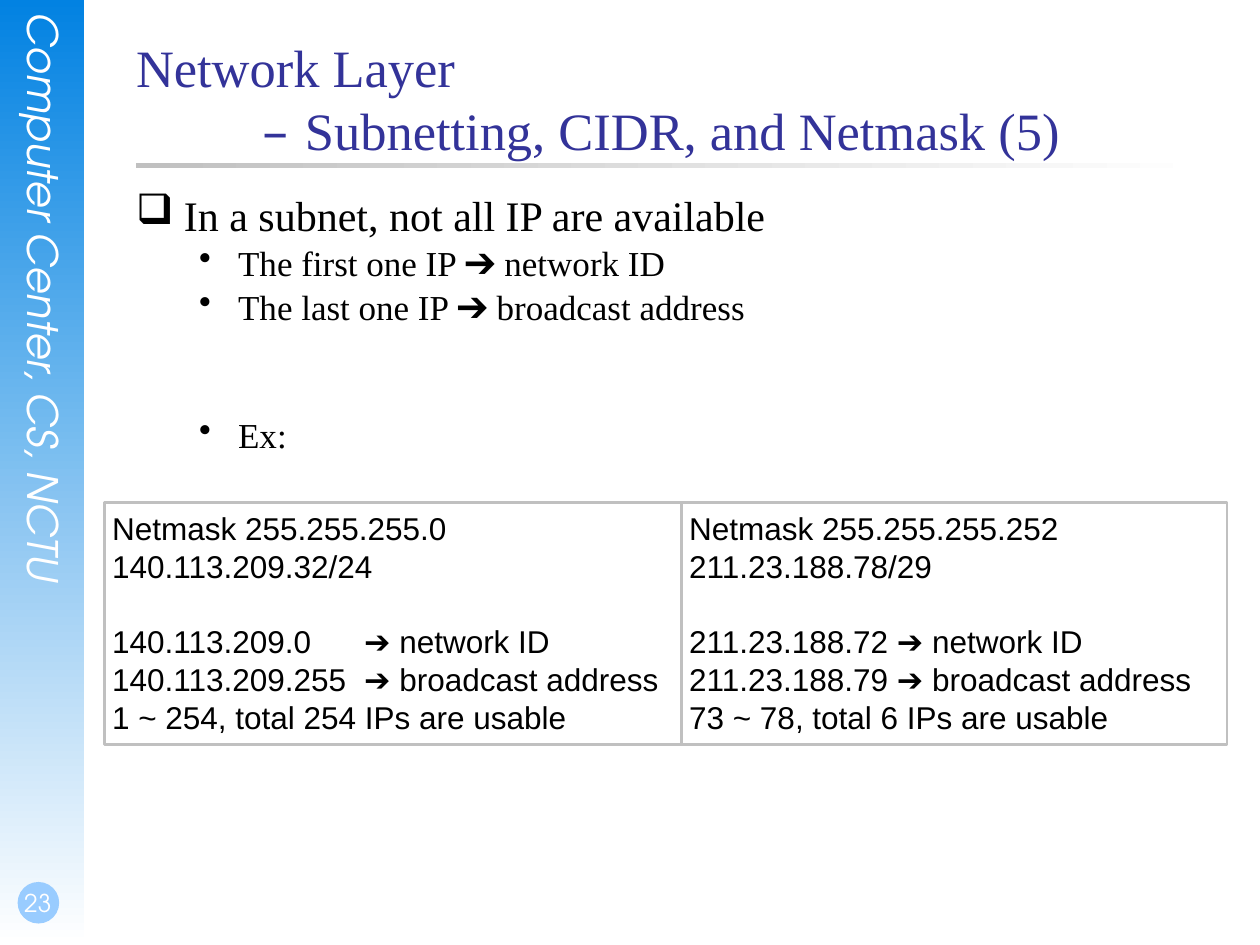
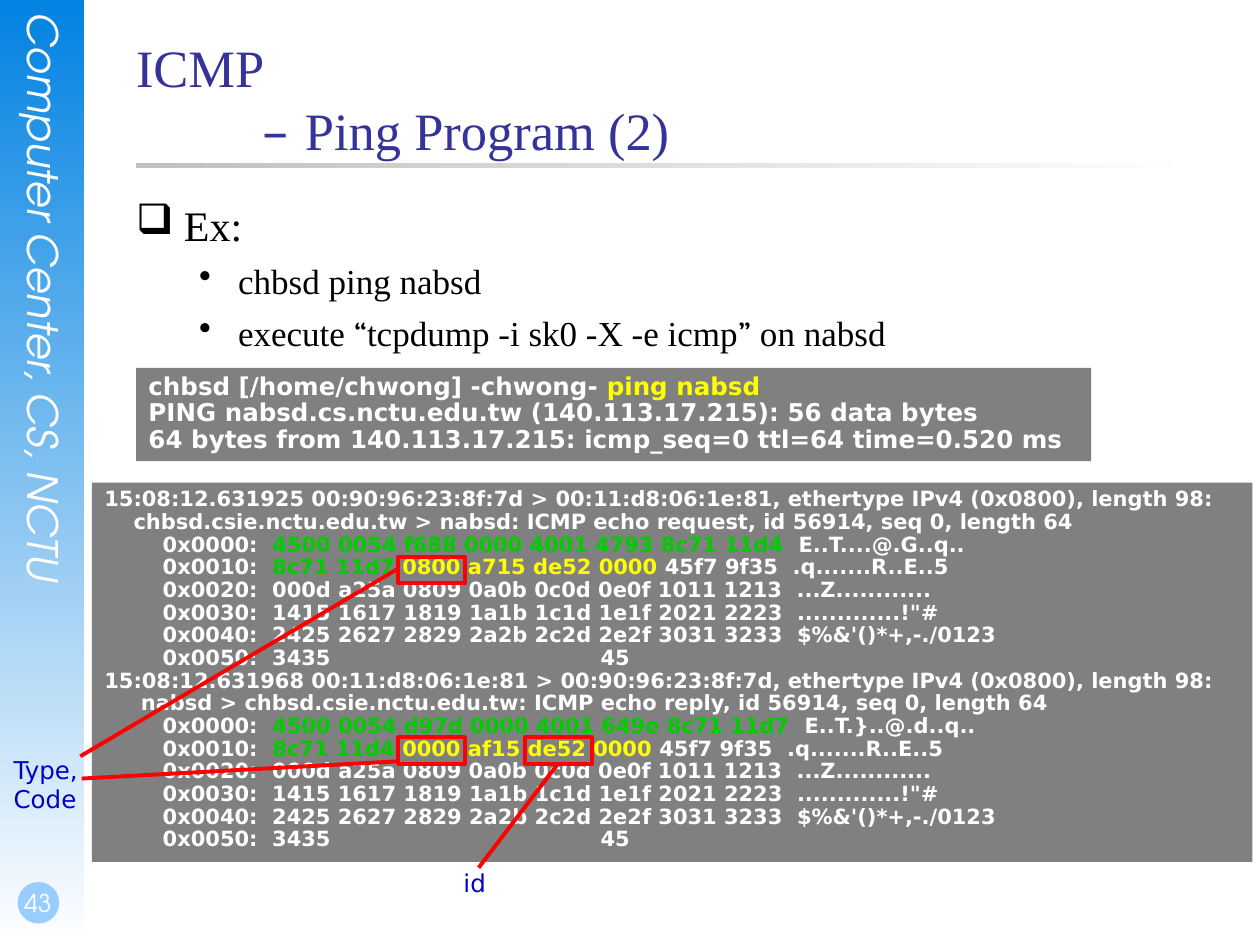
import dataclasses

import lxml.etree
import pptx
import pptx.dml.color
import pptx.enum.shapes
import pptx.enum.text
import pptx.oxml.ns
import pptx.util

Inches = pptx.util.Inches
Pt = pptx.util.Pt
Preset = pptx.enum.shapes.MSO_SHAPE
Anchor = pptx.enum.text.MSO_ANCHOR
Align = pptx.enum.text.PP_ALIGN


@dataclasses.dataclass(frozen=True)
class Theme:
    white: str = "FFFFFF"
    black: str = "000000"
    band_blue: str = "0282E2"
    badge_blue: str = "99CCFF"
    title_blue: str = "333399"
    label_blue: str = "0000CC"
    rule_gray: str = "C0C0C0"
    terminal_gray: str = "808080"
    ip_header_green: str = "00CC00"
    icmp_yellow: str = "FFFF00"
    callout_red: str = "FF0000"
    serif: str = "Times New Roman"
    sans: str = "Arial"
    screen: str = "DejaVu Sans"
    quote: str = "Cambria"
    band: str = "TeX Gyre Adventor"
    title_size: int = 30
    band_size: int = 24
    topic_size: int = 24
    point_size: int = 20
    example_size: int = 18
    small_size: int = 14
    dump_size: int = 12


THEME = Theme()
DEFAULT_INSETS = (0.1, 0.05, 0.1, 0.05)
NO_INSETS = (0, 0, 0, 0)
POINT_SPACE = 5.75
DUMP_INDENT = " " * 8


@dataclasses.dataclass(frozen=True)
class Style:
    font: str
    size: int
    color: str
    bold: bool = False
    italic: bool = False


def rgb(color):
    return pptx.dml.color.RGBColor.from_string(color)


def add_box(slide, box, fill=None, line=None, line_width=1.5, preset=Preset.RECTANGLE):
    shape = slide.shapes.add_shape(preset, *map(Inches, box))
    shape.shadow.inherit = False
    if fill:
        shape.fill.solid()
        shape.fill.fore_color.rgb = rgb(fill)
    else:
        shape.fill.background()
    if line:
        shape.line.color.rgb = rgb(line)
        shape.line.width = Pt(line_width)
    else:
        shape.line.fill.background()
    return shape


def add_gradient(slide, box, color, angle):
    """Fade from the colour to white; the angle runs counter-clockwise."""
    shape = add_box(slide, box)
    shape.fill.gradient()
    shape.fill.gradient_angle = angle
    for stop, stop_color, position in zip(
            shape.fill.gradient_stops, (color, THEME.white), (0, 1)):
        stop.color.rgb = rgb(stop_color)
        stop.position = position


def add_text(slide, box, insets=DEFAULT_INSETS, anchor=Anchor.TOP):
    shape = slide.shapes.add_textbox(*map(Inches, box))
    return prepare_frame(shape, insets, anchor)


def prepare_frame(shape, insets=DEFAULT_INSETS, anchor=Anchor.TOP, wrap=True):
    frame = shape.text_frame
    frame.word_wrap = wrap
    frame.vertical_anchor = anchor
    (frame.margin_left, frame.margin_top,
     frame.margin_right, frame.margin_bottom) = map(Inches, insets)
    return frame


def next_paragraph(frame):
    first = frame.paragraphs[0]
    return frame.add_paragraph() if first.runs else first


def write(frame, runs, style, align=Align.LEFT, spacing=None, before=0):
    """Add a paragraph; a run is plain text or (text, changes to the style)."""
    paragraph = next_paragraph(frame)
    paragraph.alignment = align
    paragraph.space_before = Pt(before)
    if spacing:
        paragraph.line_spacing = spacing
    for item in [runs] if isinstance(runs, str) else runs:
        text, changes = (item, {}) if isinstance(item, str) else item
        run_style = dataclasses.replace(style, **changes)
        run = paragraph.add_run()
        run.text = text
        run.font.name = run_style.font
        run.font.size = Pt(run_style.size)
        run.font.bold = run_style.bold
        run.font.italic = run_style.italic
        run.font.color.rgb = rgb(run_style.color)
    return paragraph


def set_indent(paragraph, left, first=0):
    properties = paragraph._p.get_or_add_pPr()
    properties.set("marL", str(Inches(left)))
    properties.set("indent", str(Inches(first)))
    return properties


def add_bullet(paragraph, character, left, hanging):
    properties = set_indent(paragraph, left, -hanging)
    bullet = lxml.etree.SubElement(properties, pptx.oxml.ns.qn("a:buChar"))
    bullet.set("char", character)


def add_tab_stop(paragraph, position):
    properties = paragraph._p.get_or_add_pPr()
    stops = lxml.etree.SubElement(properties, pptx.oxml.ns.qn("a:tabLst"))
    stop = lxml.etree.SubElement(stops, pptx.oxml.ns.qn("a:tab"))
    stop.set("pos", str(Inches(position)))
    stop.set("algn", "l")


def add_side_band(slide, number):
    add_gradient(slide, (0, 0, 0.67, 7.5), THEME.band_blue, 270)
    frame = add_text(slide, (0.15, 0.1, 0.4, 5.11), NO_INSETS)
    frame._txBody.bodyPr.set("vert", "eaVert")
    style = Style(THEME.band, THEME.band_size, THEME.white)
    write(frame, "Computer Center, CS, NCTU", dataclasses.replace(style, italic=True))
    add_box(slide, (0.14, 7, 0.33, 0.33), THEME.badge_blue, preset=Preset.OVAL)
    frame = add_text(slide, (0, 6.83, 0.58, 0.5), (0.02, 0, 0, 0.05), Anchor.BOTTOM)
    write(frame, str(number), dataclasses.replace(style, size=THEME.small_size),
          Align.CENTER)


def add_title(slide, heading, subtitle):
    add_gradient(slide, (1.08, 1.29, 8.5, 0.04), THEME.rule_gray, 0)
    frame = add_text(slide, (1.08, 0.28, 8.5, 1.25), NO_INSETS)
    style = Style(THEME.serif, THEME.title_size, THEME.title_blue)
    write(frame, heading, style)
    set_indent(write(frame, [("– ", {"font": THEME.screen}), subtitle], style), 1)


def start_slide(presentation, number, heading, subtitle):
    slide = presentation.slides.add_slide(presentation.slide_layouts[6])
    add_side_band(slide, number)
    add_title(slide, heading, subtitle)
    return slide


def add_outline(slide, box, topic, points, spacing):
    """Write a topic and its points, each given as (runs, space before)."""
    frame = add_text(slide, box, NO_INSETS)
    style = Style(THEME.serif, THEME.topic_size, THEME.black)
    add_bullet(write(frame, topic, style, spacing=spacing), "❑", 0.38, 0.38)
    style = dataclasses.replace(style, size=THEME.point_size)
    for runs, before in points:
        paragraph = write(frame, runs, style, spacing=spacing, before=before)
        add_bullet(paragraph, "•", 0.81, 0.31)


def add_netmask_examples(slide, left, top, height, examples):
    """Set bordered cells side by side, each given as (width, given, results)."""
    style = Style(THEME.sans, THEME.example_size, THEME.black)
    blank_line = 1.2 * THEME.example_size
    for width, given, results in examples:
        cell = add_box(slide, (left, top, width, height), line=THEME.rule_gray)
        frame = prepare_frame(cell, (0.06, 0.05, 0.02, 0.05))
        for line in given:
            write(frame, line, style)
        for index, line in enumerate(results):
            paragraph = write(frame, line, style, before=0 if index else blank_line)
            add_tab_stop(paragraph, 2)
        left += width


def add_terminal(slide, box, size, lines):
    frame = prepare_frame(add_box(slide, box, THEME.terminal_gray), wrap=False)
    style = Style(THEME.screen, size, THEME.white, bold=True)
    for line in lines:
        write(frame, line, style, spacing=0.9)


def packet_lines(summary, detail, addresses, first_text, destination, icmp):
    """Lay out one dumped packet with its IP header and ICMP header coloured."""
    green = {"color": THEME.ip_header_green}
    yellow = {"color": THEME.icmp_yellow}
    payload = (
        "0x0020:  000d a25a 0809 0a0b 0c0d 0e0f 1011 1213  ...Z............",
        "0x0030:  1415 1617 1819 1a1b 1c1d 1e1f 2021 2223  .............!\"#",
        "0x0040:  2425 2627 2829 2a2b 2c2d 2e2f 3031 3233  $%&'()*+,-./0123",
        "0x0050:  3435                                     45",
    )
    return [
        summary,
        detail,
        [DUMP_INDENT + "0x0000:  ", (addresses, green), "  " + first_text],
        [DUMP_INDENT + "0x0010:  ", (destination + " ", green), (icmp, yellow),
         " 45f7 9f35  .q.......R..E..5"],
        *(DUMP_INDENT + line for line in payload),
    ]


def add_packet_dump(slide, box):
    request = packet_lines(
        "15:08:12.631925 00:90:96:23:8f:7d > 00:11:d8:06:1e:81, "
        "ethertype IPv4 (0x0800), length 98:",
        "    chbsd.csie.nctu.edu.tw > nabsd: ICMP echo request, id 56914, seq 0, length 64",
        "4500 0054 f688 0000 4001 4793 8c71 11d4", "E..T....@.G..q..",
        "8c71 11d7", "0800 a715 de52 0000")
    reply = packet_lines(
        "15:08:12.631968 00:11:d8:06:1e:81 > 00:90:96:23:8f:7d, "
        "ethertype IPv4 (0x0800), length 98:",
        "     nabsd > chbsd.csie.nctu.edu.tw: ICMP echo reply, id 56914, seq 0, length 64",
        "4500 0054 d97d 0000 4001 649e 8c71 11d7", "E..T.}..@.d..q..",
        "8c71 11d4", "0000 af15 de52 0000")
    add_terminal(slide, box, THEME.dump_size, request + reply)

    left, top = box[:2]
    type_column, id_column = left + 2.43, left + 3.44
    request_row, reply_row = top + 0.59, top + 2.02
    add_field_callout(slide, type_column, request_row, (0.43, 0.01, 7.54, -4.76))
    add_field_callout(slide, type_column, reply_row, (0.92, -0.03, 1.57, -4.74))
    add_field_callout(slide, id_column, reply_row, (1, 0.49, 4.94, -0.7))
    add_field_label(slide, (0.01, 5.94, 0.76, 0.57), "Type, Code")
    add_field_label(slide, (3.58, 6.84, 0.39, 0.34), "id")


def add_field_callout(slide, left, top, leader):
    """Frame a field; leader is start y, x and end y, x in frame sizes."""
    callout = add_box(slide, (left, top, 0.53, 0.21), line=THEME.callout_red,
                      line_width=2.25, preset=Preset.LINE_CALLOUT_1)
    for index, value in enumerate(leader):
        callout.adjustments[index] = value


def add_field_label(slide, box, text):
    style = Style(THEME.screen, THEME.small_size, THEME.label_blue)
    write(add_text(slide, box), text, style)


def build_subnet_slide(presentation):
    slide = start_slide(presentation, 23, "Network Layer",
                        "Subnetting, CIDR, and Netmask (5)")
    points = [("The first one IP ➔ network ID", POINT_SPACE),
              ("The last one IP ➔ broadcast address", POINT_SPACE),
              ("Ex:", 54)]
    add_outline(slide, (1.08, 1.58, 7.75, 5.25),
                "In a subnet, not all IP are available", points, 0.8)
    add_netmask_examples(slide, 0.83, 3.99, 1.92, [
        (4.58, ("Netmask 255.255.255.0", "140.113.209.32/24"),
         ("140.113.209.0\t➔ network ID", "140.113.209.255\t➔ broadcast address",
          "1 ~ 254, total 254 IPs are usable")),
        (4.33, ("Netmask 255.255.255.252", "211.23.188.78/29"),
         ("211.23.188.72 ➔ network ID", "211.23.188.79 ➔ broadcast address",
          "73 ~ 78, total 6 IPs are usable")),
    ])


def build_ping_slide(presentation):
    slide = start_slide(presentation, 43, "ICMP", "Ping Program (2)")
    quote = {"font": THEME.quote}
    command = ["execute ", ("“", quote), "tcpdump -i sk0 -X -e icmp", ("”", quote),
               " on nabsd"]
    add_outline(slide, (1.08, 1.58, 8.5, 5.08), "Ex:",
                [("chbsd ping nabsd", POINT_SPACE), (command, POINT_SPACE)], 1.0)
    add_packet_dump(slide, (0.73, 3.83, 9.21, 3.01))
    add_terminal(slide, (1.08, 2.92, 7.58, 0.74), THEME.small_size, [
        ["chbsd [/home/chwong] -chwong- ", ("ping nabsd", {"color": THEME.icmp_yellow})],
        "PING nabsd.cs.nctu.edu.tw (140.113.17.215): 56 data bytes",
        "64 bytes from 140.113.17.215: icmp_seq=0 ttl=64 time=0.520 ms",
    ])


def main():
    presentation = pptx.Presentation()
    presentation.slide_width = Inches(10)
    presentation.slide_height = Inches(7.5)
    build_subnet_slide(presentation)
    build_ping_slide(presentation)
    presentation.save("out.pptx")


if __name__ == "__main__":
    main()
